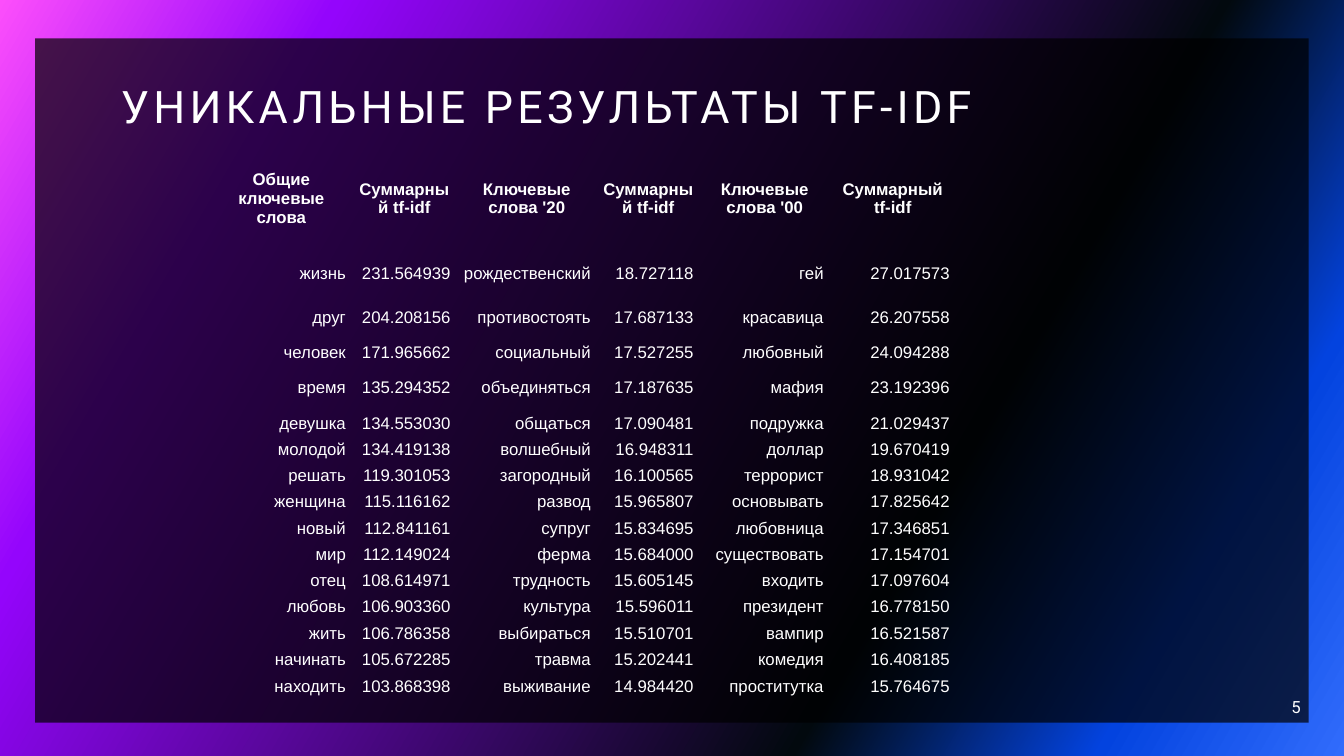
from dataclasses import dataclass

from pptx import Presentation
from pptx.dml.color import RGBColor
from pptx.enum.shapes import MSO_SHAPE
from pptx.enum.text import MSO_ANCHOR, MSO_AUTO_SIZE, PP_ALIGN
from pptx.oxml.ns import qn
from pptx.util import Inches, Pt
from lxml.etree import SubElement


@dataclass(frozen=True)
class Theme:
    text: str = "FFFFFF"
    panel: str = "000000"
    panel_opacity: int = 70
    gradient: tuple = ((0, "316CFC"), (14, "0343DF"), (31, "02090E"),
                       (81, "9405FC"), (100, "FC4EFB"))
    gradient_angle: int = 150
    heading_font: str = "Roboto"
    table_font: str = "Arial"
    title_size: int = 32
    title_spacing: int = 3
    body_size: int = 12
    plain_table_style: str = "{2D5ABB26-0587-4C30-8999-92F81FD0307C}"


HEADERS = ["Общие ключевые слова", "Суммарный tf-idf", "Ключевые слова '20",
           "Суммарный tf-idf", "Ключевые слова '00", "Суммарный tf-idf"]
RESULTS = [
    ["жизнь", "231.564939", "рождественский", "18.727118", "гей", "27.017573"],
    ["друг", "204.208156", "противостоять", "17.687133", "красавица", "26.207558"],
    ["человек", "171.965662", "социальный", "17.527255", "любовный", "24.094288"],
    ["время", "135.294352", "объединяться", "17.187635", "мафия", "23.192396"],
    ["девушка", "134.553030", "общаться", "17.090481", "подружка", "21.029437"],
    ["молодой", "134.419138", "волшебный", "16.948311", "доллар", "19.670419"],
    ["решать", "119.301053", "загородный", "16.100565", "террорист", "18.931042"],
    ["женщина", "115.116162", "развод", "15.965807", "основывать", "17.825642"],
    ["новый", "112.841161", "супруг", "15.834695", "любовница", "17.346851"],
    ["мир", "112.149024", "ферма", "15.684000", "существовать", "17.154701"],
    ["отец", "108.614971", "трудность", "15.605145", "входить", "17.097604"],
    ["любовь", "106.903360", "культура", "15.596011", "президент", "16.778150"],
    ["жить", "106.786358", "выбираться", "15.510701", "вампир", "16.521587"],
    ["начинать", "105.672285", "травма", "15.202441", "комедия", "16.408185"],
    ["находить", "103.868398", "выживание", "14.984420", "проститутка", "15.764675"],
]
COLUMN_WIDTHS = [1.4, 1.04, 1.39, 1.02, 1.29, 1.25]
ROW_HEIGHTS = [0.63, 0.44, 0.44, 0.25, 0.44] + [0.25] * 9 + [0.27, 0.25]


def set_attributes(target, values):
    for name, value in values.items():
        setattr(target, name, value)


class SlideBuilder:
    def __init__(self, slide, theme):
        self.slide = slide
        self.theme = theme

    def add_text(self, text_frame, text, align, font, size, bold=False):
        """Fill the frame with one formatted paragraph and return it."""
        paragraph = text_frame.paragraphs[0]
        paragraph.alignment = align
        run = paragraph.add_run()
        run.text = text
        set_attributes(run.font, {"name": font, "size": Pt(size), "bold": bold})
        run.font.color.rgb = RGBColor.from_string(self.theme.text)
        return paragraph

    def background(self):
        fill = self.slide.background.fill
        fill.gradient()
        fill.gradient_angle = self.theme.gradient_angle
        stops = self.slide.element.find(".//" + qn("a:gsLst"))
        for stop in list(stops):
            stops.remove(stop)
        for percent, color in self.theme.gradient:
            stop = SubElement(stops, qn("a:gs"), pos=str(percent * 1000))
            SubElement(stop, qn("a:srgbClr"), val=color)

    def panel(self, *box):
        """Add the translucent panel behind everything else."""
        shape = self.slide.shapes.add_shape(MSO_SHAPE.RECTANGLE, *map(Inches, box))
        shape.shadow.inherit = False
        shape.line.fill.background()
        shape.fill.solid()
        shape.fill.fore_color.rgb = RGBColor.from_string(self.theme.panel)
        color = shape.element.spPr.find(".//" + qn("a:srgbClr"))
        SubElement(color, qn("a:alpha"), val=str(self.theme.panel_opacity * 1000))
        self.slide.shapes.title.element.addprevious(shape.element)

    def title(self, text, *box):
        title = self.slide.shapes.title
        set_attributes(title, dict(zip(("left", "top", "width", "height"),
                                       map(Inches, box))))
        set_attributes(title.text_frame, {"vertical_anchor": MSO_ANCHOR.BOTTOM,
                                          "auto_size": MSO_AUTO_SIZE.NONE,
                                          "word_wrap": True})
        paragraph = self.add_text(title.text_frame, text, PP_ALIGN.LEFT,
                                  self.theme.heading_font, self.theme.title_size)
        paragraph.line_spacing = 0.9
        run_properties = title.element.find(".//" + qn("a:rPr"))
        run_properties.set("spc", str(self.theme.title_spacing * 100))

    def page_number(self, text, *box):
        text_frame = self.slide.shapes.add_textbox(*map(Inches, box)).text_frame
        set_attributes(text_frame, {"vertical_anchor": MSO_ANCHOR.MIDDLE,
                                    "word_wrap": True})
        self.add_text(text_frame, text, PP_ALIGN.RIGHT,
                      self.theme.heading_font, self.theme.body_size)

    def table(self, rows, left, top, column_widths, row_heights):
        frame = self.slide.shapes.add_table(
            len(rows), len(column_widths), Inches(left), Inches(top),
            Inches(sum(column_widths)), Inches(sum(row_heights)))
        table = frame.table
        table.horz_banding = False
        style = frame.element.find(".//" + qn("a:tableStyleId"))
        style.text = self.theme.plain_table_style
        for column, width in zip(table.columns, column_widths):
            column.width = Inches(width)
        for row_index, (row, height) in enumerate(zip(table.rows, row_heights)):
            row.height = Inches(height)
            is_header = row_index == 0
            cell_format = {
                "vertical_anchor": MSO_ANCHOR.MIDDLE,
                "margin_left": Inches(0.06), "margin_right": Inches(0.06),
                "margin_top": Inches(0.03),
                "margin_bottom": Inches(0.22 if is_header else 0.03),
            }
            align = PP_ALIGN.CENTER if is_header else PP_ALIGN.RIGHT
            for cell, text in zip(row.cells, rows[row_index]):
                set_attributes(cell, cell_format)
                cell.fill.background()
                self.add_text(cell.text_frame, text, align, self.theme.table_font,
                              self.theme.body_size, bold=is_header)


def main():
    presentation = Presentation()
    set_attributes(presentation, {"slide_width": Inches(13.33),
                                  "slide_height": Inches(7.5)})
    title_only = presentation.slide_layouts.get_by_name("Title Only")
    builder = SlideBuilder(presentation.slides.add_slide(title_only), Theme())
    builder.background()
    builder.panel(0.35, 0.38, 12.63, 6.79)
    builder.title("УНИКАЛЬНЫЕ РЕЗУЛЬТАТЫ TF-IDF", 1.1, 0.38, 11.57, 0.99)
    builder.page_number("5", 10, 6.81, 3, 0.4)
    builder.table([HEADERS] + RESULTS, 2.09, 1.64, COLUMN_WIDTHS, ROW_HEIGHTS)
    presentation.save("out.pptx")


if __name__ == "__main__":
    main()
